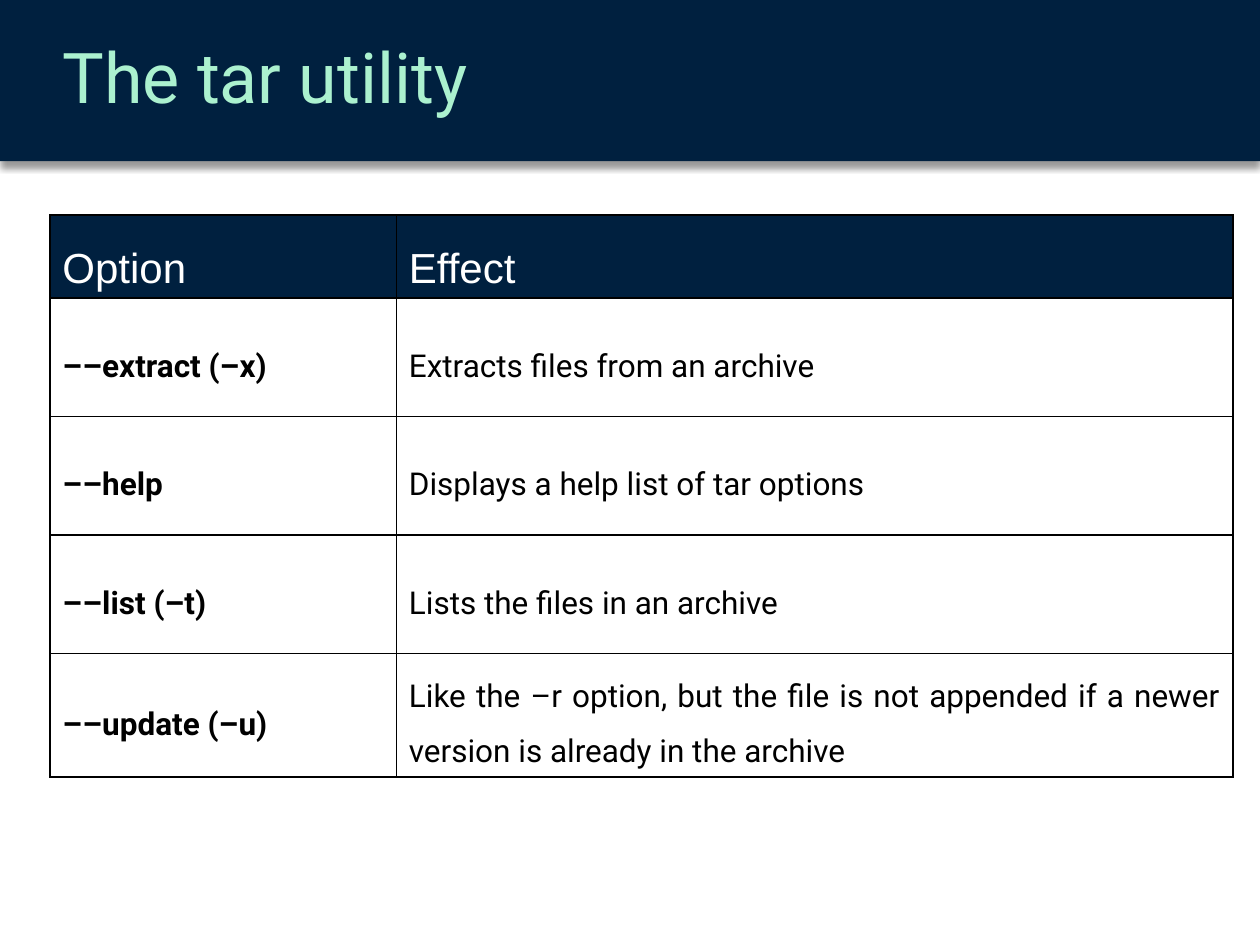
from lxml.etree import SubElement
from pptx import Presentation
from pptx.dml.color import RGBColor
from pptx.enum.shapes import MSO_SHAPE
from pptx.enum.text import MSO_ANCHOR, PP_ALIGN
from pptx.oxml.ns import qn
from pptx.util import Pt

COLORS = {"navy": "00203F", "mint": "ABF1CF", "white": "FFFFFF", "black": "000000"}
OPTIONS = [
    ("––extract (–x)", "Extracts files from an archive"),
    ("––help", "Displays a help list of tar options"),
    ("––list (–t)", "Lists the files in an archive"),
    (
        "––update (–u)",
        "Like the –r option, but the file is not appended if a newer version "
        "is already in the archive",
    ),
]


def color(name):
    """Return the named palette colour."""
    return RGBColor.from_string(COLORS[name])


def write_text(text_frame, text, *, size, font="Roboto", text_color="black", bold=False,
               align=PP_ALIGN.LEFT, spacing=1.5):
    """Write one formatted paragraph into a text frame."""
    paragraph = text_frame.paragraphs[0]
    paragraph.alignment = align
    paragraph.line_spacing = spacing
    run = paragraph.add_run()
    run.text = text
    run.font.name = font
    run.font.size = Pt(size)
    run.font.bold = bold
    run.font.color.rgb = color(text_color)


def add_shadow(shape, blur, distance, opacity):
    """Give a shape a soft shadow that falls straight down."""
    shape.shadow.inherit = False
    effects = shape._element.spPr.find(qn("a:effectLst"))
    shadow = SubElement(effects, qn("a:outerShdw"), blurRad=str(Pt(blur)),
                        dist=str(Pt(distance)), dir="5400000", rotWithShape="0")
    shade = SubElement(shadow, qn("a:srgbClr"), val=COLORS["black"])
    SubElement(shade, qn("a:alpha"), val=str(opacity * 1000))


def add_header(slide, left, top, width, height):
    """Place the title on a shadowed band filling the given box."""
    band = slide.shapes.add_shape(MSO_SHAPE.RECTANGLE, Pt(left), Pt(top), Pt(width), Pt(height))
    band.fill.solid()
    band.fill.fore_color.rgb = color("navy")
    band.line.fill.background()
    add_shadow(band, blur=4, distance=3, opacity=40)

    title = slide.shapes.title
    band._element.addnext(title._element)
    indent = 28.5
    title.left, title.top = Pt(left + indent), Pt(top)
    title.width, title.height = Pt(width - indent), Pt(height)
    title.text_frame.word_wrap = True
    title.text_frame.vertical_anchor = MSO_ANCHOR.MIDDLE
    write_text(title.text_frame, "The tar utility", size=40, text_color="mint", spacing=0.9)


def add_borders(cell):
    """Draw a thin black line on all four sides of a cell."""
    properties = cell._tc.get_or_add_tcPr()
    for index, side in enumerate(("lnL", "lnR", "lnT", "lnB")):
        line = properties.makeelement(qn(f"a:{side}"), {"w": str(Pt(1))})
        fill = SubElement(line, qn("a:solidFill"))
        SubElement(fill, qn("a:srgbClr"), val=COLORS["black"])
        properties.insert(index, line)


def fill_cell(cell, text, background, **text_format):
    """Fill, outline and write one table cell."""
    cell.fill.solid()
    cell.fill.fore_color.rgb = color(background)
    cell.vertical_anchor = MSO_ANCHOR.MIDDLE
    cell.margin_left = cell.margin_right = Pt(7.2)
    cell.margin_top = cell.margin_bottom = Pt(3.6)
    add_borders(cell)
    write_text(cell.text_frame, text, **text_format)


def add_options_table(slide, left, top, width, height):
    """Place the table of options and their effects in the given box."""
    rows = [("Option", "Effect"), *OPTIONS]
    table = slide.shapes.add_table(len(rows), 2, Pt(left), Pt(top), Pt(width), Pt(height)).table
    option_width, header_height = 198, 46.8
    option_height = (height - header_height) / len(OPTIONS)
    table.columns[0].width = Pt(option_width)
    table.columns[1].width = Pt(width - option_width)
    for row_index, row in enumerate(rows):
        table.rows[row_index].height = Pt(option_height if row_index else header_height)
        for column_index, text in enumerate(row):
            cell = table.cell(row_index, column_index)
            if row_index == 0:
                fill_cell(cell, text, "navy", size=24, font="Arial", text_color="white")
            else:
                fill_cell(cell, text, "white", size=18, bold=column_index == 0,
                          align=PP_ALIGN.JUSTIFY)


def main():
    """Build and save the slide."""
    presentation = Presentation()
    presentation.slide_width, presentation.slide_height = Pt(720), Pt(540)
    slide = presentation.slides.add_slide(presentation.slide_layouts[5])
    add_header(slide, 0, 0, 720, 92.16)
    add_options_table(slide, 28.5, 123, 676, 317.5)
    presentation.save("out.pptx")


if __name__ == "__main__":
    main()
